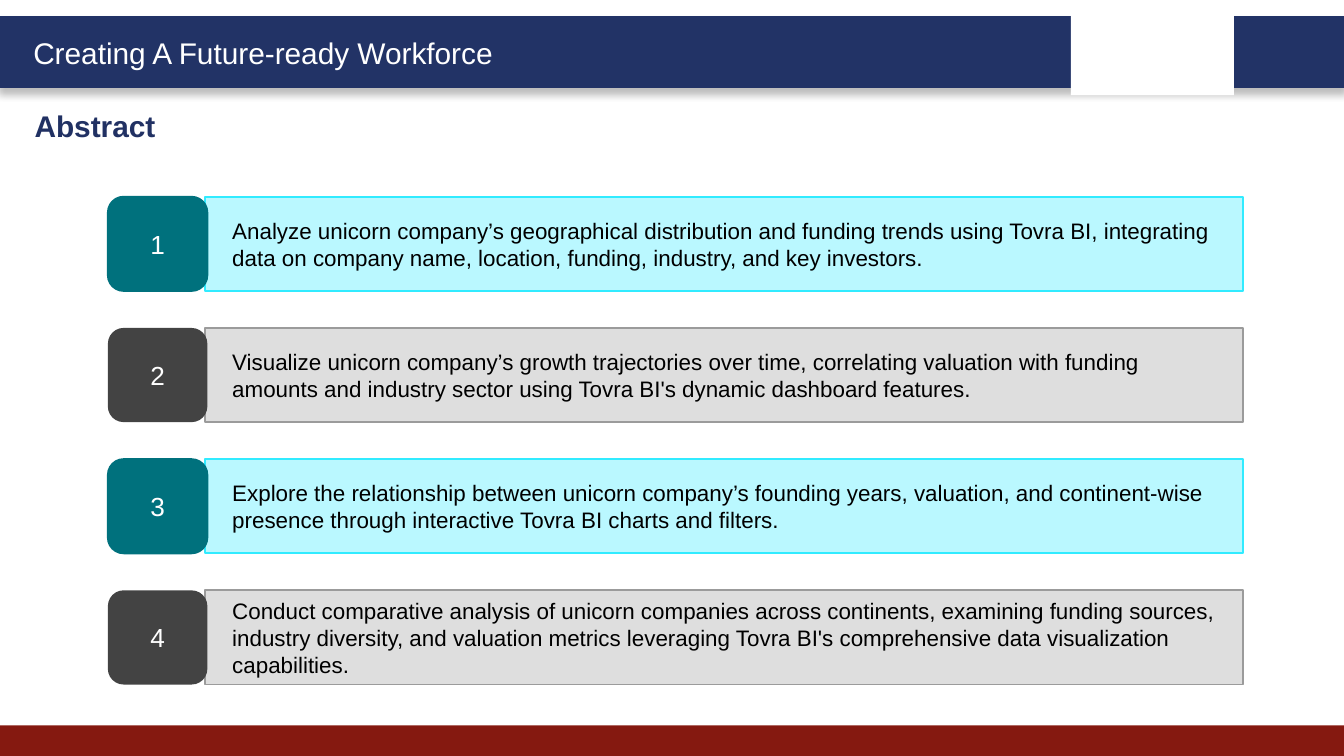
from lxml import etree
from pptx import Presentation
from pptx.dml.color import RGBColor
from pptx.enum import shapes, text
from pptx.oxml import ns
from pptx.util import Cm, Pt

HEADER = "Creating A Future-ready Workforce"
TITLE = "Abstract"
GOALS = [
    "Analyze unicorn company’s geographical distribution and funding trends using Tovra BI, "
    "integrating data on company name, location, funding, industry, and key investors.",
    "Visualize unicorn company’s growth trajectories over time, correlating valuation with "
    "funding amounts and industry sector using Tovra BI's dynamic dashboard features.",
    "Explore the relationship between unicorn company’s founding years, valuation, and "
    "continent-wise presence through interactive Tovra BI charts and filters.",
    "Conduct comparative analysis of unicorn companies across continents, examining funding "
    "sources, industry diversity, and valuation metrics leveraging Tovra BI's comprehensive "
    "data visualization capabilities.",
]

FONT = "Arial"
WHITE = RGBColor(0xFF, 0xFF, 0xFF)
BLACK = RGBColor(0x00, 0x00, 0x00)
NAVY = RGBColor(0x22, 0x33, 0x66)
TITLE_NAVY = RGBColor(0x21, 0x31, 0x63)
RED = RGBColor(0x85, 0x19, 0x10)
TEAL = RGBColor(0x00, 0x71, 0x7D)
AQUA = RGBColor(0xBA, 0xF8, 0xFF)
CYAN = RGBColor(0x31, 0xEB, 0xFF)
DARK_GRAY = RGBColor(0x43, 0x43, 0x43)
LIGHT_GRAY = RGBColor(0xDE, 0xDE, 0xDE)
MID_GRAY = RGBColor(0x9B, 0x9B, 0x9B)

# badge fill, badge line, panel fill, panel line; rows alternate between them
ROW_STYLES = [(TEAL, TEAL, AQUA, CYAN), (DARK_GRAY, None, LIGHT_GRAY, MID_GRAY)]

# Centimetres
WIDTH, HEIGHT = 25.4, 14.29
ROW_TOP, ROW_PITCH, ROW_HEIGHT = 3.72, 2.48, 1.78
BADGE_LEFT, BADGE_WIDTH = 2.04, 1.88
PANEL_LEFT, PANEL_WIDTH = 3.88, 19.62
PANEL_INDENT = 0.51

RECT = shapes.MSO_SHAPE.RECTANGLE
ROUNDED = shapes.MSO_SHAPE.ROUNDED_RECTANGLE
LEFT, CENTER = text.PP_ALIGN.LEFT, text.PP_ALIGN.CENTER
TOP, MIDDLE = text.MSO_ANCHOR.TOP, text.MSO_ANCHOR.MIDDLE


def add_block(slide, kind, box, fill, line=None, line_width=1):
    block = slide.shapes.add_shape(kind, *map(Cm, box))
    block.shadow.inherit = False
    block.fill.solid()
    block.fill.fore_color.rgb = fill
    if line is None:
        block.line.fill.background()
    else:
        block.line.color.rgb = line
        block.line.width = Pt(line_width)
    return block


def write(shape, words, size, color, align=LEFT, anchor=TOP, bold=False):
    frame = shape.text_frame
    frame.text = words
    frame.word_wrap = True
    frame.vertical_anchor = anchor
    paragraph = frame.paragraphs[0]
    paragraph.alignment = align
    font = paragraph.runs[0].font
    font.name, font.size, font.bold = FONT, Pt(size), bold
    font.color.rgb = color


def drop_shadow(shape, blur, distance, opacity):
    """Cast a black shadow straight down; blur and distance are in points."""
    effects = shape.element.spPr.find(ns.qn("a:effectLst"))
    shadow = etree.SubElement(
        effects, ns.qn("a:outerShdw"), blurRad=str(Pt(blur)), dist=str(Pt(distance)),
        dir="5400000", algn="t", rotWithShape="0")
    color = etree.SubElement(shadow, ns.qn("a:srgbClr"), val="000000")
    etree.SubElement(color, ns.qn("a:alpha"), val=str(opacity * 1000))


def add_frame(slide):
    """Draw the header band, its blank logo panel and the footer band."""
    band = add_block(slide, RECT, (0, 0.33, WIDTH, 1.3), NAVY, NAVY, 2)
    drop_shadow(band, blur=4, distance=3, opacity=25)
    add_block(slide, RECT, (0, 13.71, WIDTH, 0.58), RED)
    add_block(slide, RECT, (20.24, 0.18, 3.08, 1.62), WHITE)
    header = slide.shapes.add_textbox(*map(Cm, (0.38, 0.53, 9.6, 0.94)))
    write(header, HEADER, 16, WHITE)


def add_title(slide):
    title = slide.shapes.title
    title.left, title.top, title.width, title.height = map(Cm, (0.4, 1.9, 12.3, 0.94))
    write(title, TITLE, 16, TITLE_NAVY, bold=True)


def add_goals(slide):
    for index, goal in enumerate(GOALS):
        badge_fill, badge_line, panel_fill, panel_line = ROW_STYLES[index % len(ROW_STYLES)]
        top = ROW_TOP + index * ROW_PITCH
        panel = add_block(slide, RECT, (PANEL_LEFT, top, PANEL_WIDTH, ROW_HEIGHT),
                          panel_fill, panel_line)
        write(panel, goal, 12, BLACK, anchor=MIDDLE)
        panel.text_frame.margin_left = Cm(PANEL_INDENT)
        badge = add_block(slide, ROUNDED, (BADGE_LEFT, top, BADGE_WIDTH, ROW_HEIGHT),
                          badge_fill, badge_line)
        write(badge, str(index + 1), 14, WHITE, CENTER, MIDDLE)


def main():
    deck = Presentation()
    deck.slide_width, deck.slide_height = Cm(WIDTH), Cm(HEIGHT)
    slide = deck.slides.add_slide(deck.slide_layouts[5])
    add_frame(slide)
    add_title(slide)
    add_goals(slide)
    deck.save("out.pptx")


if __name__ == "__main__":
    main()
